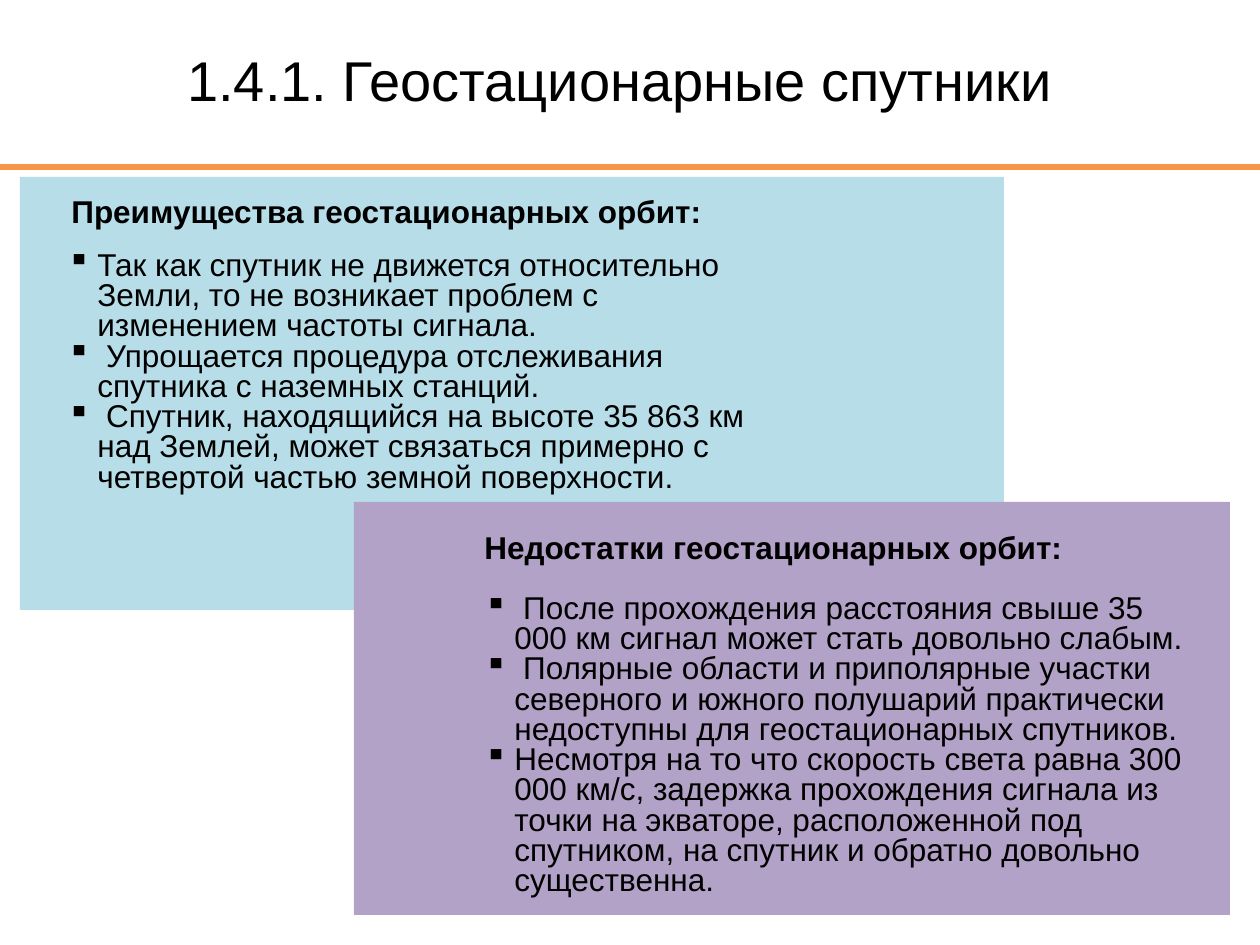
from pptx import Presentation
from pptx.dml.color import RGBColor as RGB
from pptx.enum.shapes import MSO_CONNECTOR as CONN, MSO_SHAPE as SHAPE
from pptx.enum.text import PP_ALIGN as ALIGN
from pptx.oxml.ns import qn
from pptx.util import Pt
from lxml.etree import SubElement

PX = 914400 // 126
FONT = "Arial"
INDENT = 30
COLORS = {"pros": "B7DEE8", "cons": "B3A2C7", "rule": "F79646", "text": "000000"}
PROS = [
    "Так как спутник не движется относительно Земли, то не возникает проблем с "
    "изменением частоты сигнала.",
    " Упрощается процедура отслеживания спутника с наземных станций.",
    " Спутник, находящийся на высоте 35 863 км над Землей, может связаться примерно с "
    "четвертой частью земной поверхности.",
]
CONS = [
    " После прохождения расстояния свыше 35 000 км сигнал может стать довольно слабым.",
    " Полярные области и приполярные участки северного и южного полушарий практически "
    "недоступны для геостационарных спутников.",
    "Несмотря на то что скорость света равна 300 000 км/с, задержка прохождения сигнала "
    "из точки на экваторе, расположенной под спутником, на спутник и обратно довольно "
    "существенна.",
]


def px(*values):
    """Turn pixel lengths into EMU."""
    return [v * PX for v in values]


def add_panel(slide, box, color):
    """Add a plain filled rectangle."""
    sp = slide.shapes.add_shape(SHAPE.RECTANGLE, *px(*box))
    sp.shadow.inherit = False
    sp.fill.solid()
    sp.fill.fore_color.rgb = RGB.from_string(COLORS[color])
    sp.line.fill.background()


def add_rule(slide, y):
    """Add the line that runs across the slide under the title."""
    line = slide.shapes.add_connector(CONN.STRAIGHT, *px(0, y, 1260, y))
    line.line.color.rgb = RGB.from_string(COLORS["rule"])
    line.line.width = Pt(3)
    SubElement(line._element.spPr, qn("a:effectLst"))


def add_box(slide, box):
    """Add a wrapping text box and return its text frame."""
    tf = slide.shapes.add_textbox(*px(*box)).text_frame
    tf.word_wrap = True
    return tf


def write(p, text, size=18, bold=False):
    """Put formatted text into a paragraph."""
    p.text = text
    font = p.runs[0].font
    font.name, font.size, font.bold = FONT, Pt(size), bold
    font.color.rgb = RGB.from_string(COLORS["text"])


def add_bullet(p, text):
    """Write a tightly spaced paragraph with a square bullet."""
    p.line_spacing = 0.8
    pPr = p._p.get_or_add_pPr()
    pPr.set("marL", str(INDENT * PX))
    pPr.set("indent", str(-INDENT * PX))
    SubElement(pPr, qn("a:buChar"), char="▪")
    write(p, text)


def main():
    """Build the slide and save it."""
    prs = Presentation()
    prs.slide_width, prs.slide_height = px(1260, 945)
    slide = prs.slides.add_slide(prs.slide_layouts[6])

    add_panel(slide, (20, 177, 984, 433), "pros")
    add_panel(slide, (354, 502, 876, 413), "cons")

    write(add_box(slide, (59, 186, 704, 126)).paragraphs[0],
          "Преимущества геостационарных орбит:", bold=True)
    tf = add_box(slide, (55, 246, 738, 254))
    for i, text in enumerate(PROS):
        add_bullet(tf.add_paragraph() if i else tf.paragraphs[0], text)

    tf = add_box(slide, (472, 529, 728, 451))
    heading = tf.paragraphs[0]
    heading.line_spacing = 0.8
    heading.space_after = Pt(17)
    write(heading, "Недостатки геостационарных орбит:", bold=True)
    for text in CONS:
        add_bullet(tf.add_paragraph(), text)

    add_rule(slide, 167)
    title = add_box(slide, (-10, 39, 1260, 118)).paragraphs[0]
    title.alignment = ALIGN.CENTER
    write(title, "1.4.1. Геостационарные спутники", size=32)

    prs.save("out.pptx")


if __name__ == "__main__":
    main()
